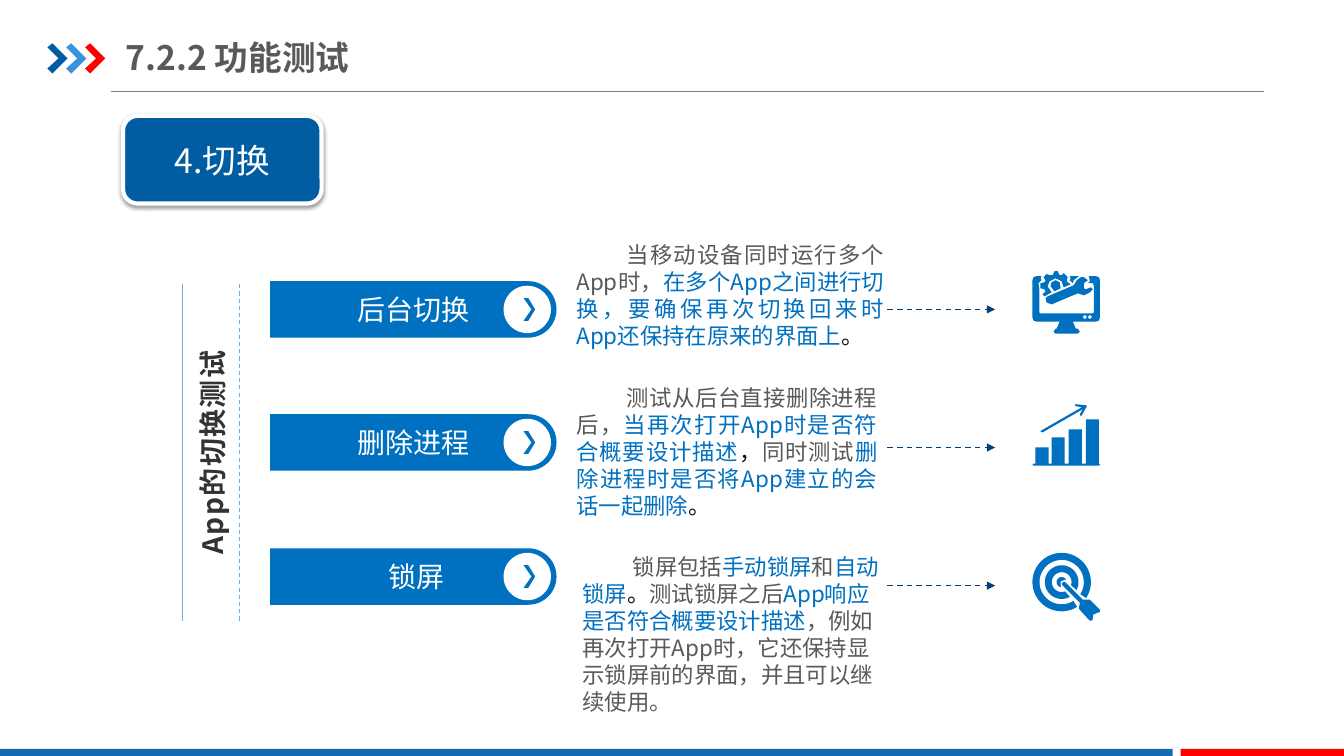
from math import cos, sin, radians
from dataclasses import dataclass
from lxml.etree import SubElement as Sub
from pptx import Presentation as Deck
from pptx.dml.color import RGBColor as Rgb
from pptx.enum.dml import MSO_LINE as Dash
from pptx.enum.shapes import MSO_SHAPE as Kind, MSO_CONNECTOR as Link
from pptx.enum.text import PP_ALIGN as Side, MSO_ANCHOR as Hold, MSO_AUTO_SIZE as Size
from pptx.oxml.ns import qn
from pptx.util import Inches, Pt


@dataclass
class Theme:
    font: str = "Noto Sans CJK SC"
    navy: str = "005DA2"
    sky: str = "3992DB"
    red: str = "FF0000"
    base: str = "1369B2"
    blue: str = "0070C0"
    pale: str = "6BAFE1"
    dark: str = "014076"
    rule: str = "808080"
    gray: str = "595959"
    ink: str = "0D0D0D"
    side: str = "333333"
    white: str = "FFFFFF"
    head: int = 24
    label: int = 20
    body: int = 16


def arc(x, y, r, start=0, end=360, step=6):
    """Points along a circle, clockwise from start to end in degrees."""
    count = max(2, round(abs(end - start) / step))
    turns = [radians(start + (end - start) * i / count) for i in range(count + 1)]
    return [(x + r * cos(t), y + r * sin(t)) for t in turns]


def ring(x, y, outer, inner, start, end, cut=0):
    """An open ring, its inner gap wider by cut degrees on each side."""
    return arc(x, y, outer, start, end) + arc(x, y, inner, end - cut, start + cut)


def write(shape, runs, size, color, bold=False, align=None, hold=Hold.MIDDLE,
          pad=(0.1, 0.05), indent=0, lead=None, space=0, turn=None):
    """Fill a shape with one paragraph; runs is text or (text, color) pairs."""
    frame = shape.text_frame
    frame.word_wrap, frame.vertical_anchor = True, hold
    frame.margin_left = frame.margin_right = Inches(pad[0])
    frame.margin_top = frame.margin_bottom = Inches(pad[1])
    if turn:
        frame._txBody.bodyPr.set("vert", turn)
    para = frame.paragraphs[0]
    para.alignment = align
    if indent:
        props = para._p.get_or_add_pPr()
        props.set("marL", "0")
        props.set("indent", str(Inches(indent)))
    if lead:
        para.line_spacing = Pt(lead)
    for text, tint in [(runs, color)] if isinstance(runs, str) else runs:
        run = para.add_run()
        run.text = text
        font = run.font
        font.name, font.size, font.bold = theme.font, Pt(size), bold
        font.color.rgb = Rgb.from_string(tint)
        props = run._r.get_or_add_rPr()
        Sub(props, qn("a:ea")).set("typeface", theme.font)
        if space:
            props.set("spc", str(space * 100))


class Page:
    def __init__(self, slide, theme):
        self.items, self.theme = slide.shapes, theme

    def paint(self, shape, fill):
        shape.shadow.inherit = False
        shape.fill.solid()
        shape.fill.fore_color.rgb = Rgb.from_string(fill)
        shape.line.fill.background()
        return shape

    def block(self, x, y, w, h, fill, kind=Kind.RECTANGLE):
        box = map(Inches, (x, y, w, h))
        return self.paint(self.items.add_shape(kind, *box), fill)

    def free(self, loops, fill):
        """One shape from closed loops of points in inches."""
        loops = [[(Inches(x), Inches(y)) for x, y in loop] for loop in loops]
        pen = self.items.build_freeform(*loops[0][0], scale=1.0)
        for i, loop in enumerate(loops):
            if i:
                pen.move_to(*loop[0])
            pen.add_line_segments(loop[1:], close=True)
        return self.paint(pen.convert_to_shape(), fill)

    def icon(self, y, loops):
        """Loops are in hundredths of an inch from the icon's corner."""
        self.free([[(10.24 + a / 100, y + b / 100) for a, b in loop]
                   for loop in loops], self.theme.blue)

    def text(self, x, y, w, h, runs, size, color, **form):
        box = self.items.add_textbox(*map(Inches, (x, y, w, h)))
        write(box, runs, size, color, **form)
        return box

    def line(self, x, y, x2, y2, color, width=0.75, dash=False, arrow=False):
        link = self.items.add_connector(Link.STRAIGHT, *map(Inches, (x, y, x2, y2)))
        link.line.color.rgb = Rgb.from_string(color)
        link.line.width = Pt(width)
        if dash:
            link.line.dash_style = Dash.DASH
        if arrow:
            Sub(link.line._get_or_add_ln(), qn("a:tailEnd")).set("type", "triangle")
        Sub(link._element.spPr, qn("a:effectLst"))

    def pill(self, y, text):
        mid = y + 0.28
        bar = self.free([[(2.68, y)] + arc(5.24, mid, 0.28, -90, 90)
                         + [(2.68, y + 0.56)]], self.theme.blue)
        write(bar, text, self.theme.label, self.theme.white,
              align=Side.CENTER, pad=(0, 0))
        mark = [(5.19, -0.115), (5.27, 0), (5.19, 0.115),
                (5.24, 0.115), (5.31, 0), (5.24, -0.115)]
        self.free([arc(5.23, mid, 0.235), [(x, mid + d) for x, d in mark]],
                  self.theme.white)


theme = Theme()
deck = Deck()
deck.slide_width, deck.slide_height = Inches(13.33), Inches(7.5)
page = Page(deck.slides.add_slide(deck.slide_layouts[6]), theme)

# Header and footer
page.line(1.1, 0.91, 12.54, 0.91, theme.rule)
for i, tint in enumerate((theme.navy, theme.sky, theme.red)):
    x = 0.47 + 0.187 * i
    page.free([[(x, 0.47), (x + 0.05, 0.43), (x + 0.2, 0.58), (x + 0.05, 0.73),
                (x, 0.68), (x + 0.11, 0.58)]], tint)
page.block(0, 7.43, 11.63, 0.09, theme.base)
page.block(11.71, 7.43, 1.63, 0.09, theme.red)
page.text(1.25, 0.29, 4.26, 0.55, "7.2.2 功能测试", theme.head, theme.gray,
          bold=True, pad=(0, 0.07))

# Topic badge
badge = page.block(1.22, 1.15, 1.97, 0.87, theme.navy, Kind.ROUNDED_RECTANGLE)
badge.line.color.rgb = Rgb.from_string(theme.white)
badge.line.width = Pt(3)
glow = Sub(badge._element.spPr.find(qn("a:effectLst")), qn("a:outerShdw"),
           blurRad=str(Pt(3.1)), dist=str(Pt(1.6)), dir="5400000", rotWithShape="0")
Sub(Sub(glow, qn("a:srgbClr"), val="000000"), qn("a:alpha"), val="38000")
write(badge, "4.切换", theme.head, theme.white, align=Side.CENTER)

# Side heading
page.text(1.84, 3.17, 0.54, 2.64, "App的切换测试", theme.label, theme.side, bold=True,
          align=Side.CENTER, pad=(0, 0), space=1, turn="vert270")
page.line(1.81, 2.82, 1.81, 6.16, theme.pale)
page.line(2.38, 2.82, 2.38, 6.16, theme.pale, dash=True)

# Rows: label, pill top, text box and runs
gray, blue, ink = theme.gray, theme.blue, theme.ink
rows = [
    ("后台切换", 2.79, (5.62, 2.18, 3.25, 1.5), [
        ("当移动设备同时运行多个App时，", gray),
        ("在多个App之间进行切换，要确保再次切换回来时App还保持在原来的界面上", blue),
        ("。", ink)]),
    ("删除进程", 4.11, (5.62, 3.59, 3.18, 1.77), [
        ("测试从后台直接删除进程后，", gray),
        ("当再次打开App时是否符合概要设计描述", blue), ("，", ink),
        ("同时测试", gray), ("删除进程时是否将App建立的会话一起删除", blue),
        ("。", ink)]),
    (" 锁屏", 5.44, (5.68, 5.44, 3.2, 1.72), [
        ("锁屏包括", gray), ("手动锁屏", blue), ("和", gray), ("自动锁屏", blue),
        ("。", ink), ("测试锁屏之后", gray),
        ("App响应是否符合概要设计描述", blue),
        ("，例如再次打开App时，它还保持显示锁屏前的界面，并且可以继续使用。", gray)]),
]
for i, (label, top, box, runs) in enumerate(rows):
    last = i == len(rows) - 1
    page.pill(top, label)
    note = page.text(*box, runs, theme.body, gray, indent=0.5, lead=19.3,
                     align=None if last else Side.JUSTIFY,
                     hold=Hold.TOP if last else Hold.MIDDLE)
    if last:
        note.text_frame.auto_size = Size.SHAPE_TO_FIT_TEXT
    y = 3.07 + 1.37 * i
    page.line(8.8, y, 9.87, y, theme.dark, 1, dash=True, arrow=True)

# Monitor icon: screen, gap piece, gear, nut, wrench, buttons
page.icon(2.69, [
    [(4, 5), (9, 5), (8, 7), (9, 9), (6, 12), (7, 19), (7, 41), (8, 42), (59, 42),
     (61, 41), (61, 20), (61, 15), (60, 12), (55, 12), (57, 10), (56, 5), (63, 5),
     (66, 6), (67, 9), (67, 46), (66, 49), (63, 50), (40, 50), (43, 57), (45, 57),
     (47, 60), (45, 62), (23, 62), (21, 60), (23, 57), (24, 57), (27, 50), (4, 50),
     (1, 49), (0, 46), (0, 9), (1, 6)],
    [(37, 5), (46, 5), (41, 9), (40, 12), (37, 9), (38, 7)],
    [(22, 0), (25, 0), (27, 4), (29, 4), (31, 2), (35, 6), (34, 9), (35, 11), (38, 13),
     (31, 16), (29, 10), (23, 7), (17, 10), (15, 15), (19, 21), (12, 25), (10, 23),
     (13, 20), (12, 18), (8, 17), (8, 12), (12, 11), (13, 9), (11, 6), (14, 3),
     (18, 4), (20, 4)],
    [(23, 9), (27, 11), (28, 17), (22, 20), (18, 15), (19, 11)],
    [(51, 6), (55, 9), (51, 12), (51, 17), (53, 18), (58, 16), (60, 18), (57, 21),
     (51, 24), (45, 22), (19, 33), (14, 31), (13, 27), (15, 25), (41, 14), (44, 9),
     (48, 6)],
    arc(57, 45.5, 1.8, step=30), arc(52, 45.5, 1.8, step=30)])

# Growth icon: bars, base, rising arrow
bars = [[(x, y), (x + 13, y), (x + 13, 59), (x, 59)]
        for x, y in ((3, 43), (19, 33), (36, 25), (53, 15))]
page.icon(4.01, bars + [
    [(1, 59), (66, 59), (67, 60), (66, 61), (1, 61), (0, 60)],
    [(43, 0), (53, 1), (54, 2), (49, 11), (48, 12), (47, 10), (50, 5), (10, 28),
     (8, 27), (9, 26), (49, 3), (43, 2), (42, 1)]])

# Target icon: rings, centre, arrow
page.icon(5.49, [
    ring(29, 28.5, 29, 22, 58, 393), ring(29, 28.5, 16.7, 9.8, 61, 388, 9),
    arc(29, 28.5, 5, 100, 335) + [(32, 26), (28, 28)],
    [(31, 28), (33, 29), (50, 46), (57, 46), (67, 56), (67, 58), (62, 60), (60, 61),
     (60, 65), (58, 67), (56, 66), (47, 56), (46, 55), (47, 49), (30, 32), (29, 30)]])

deck.save("out.pptx")
